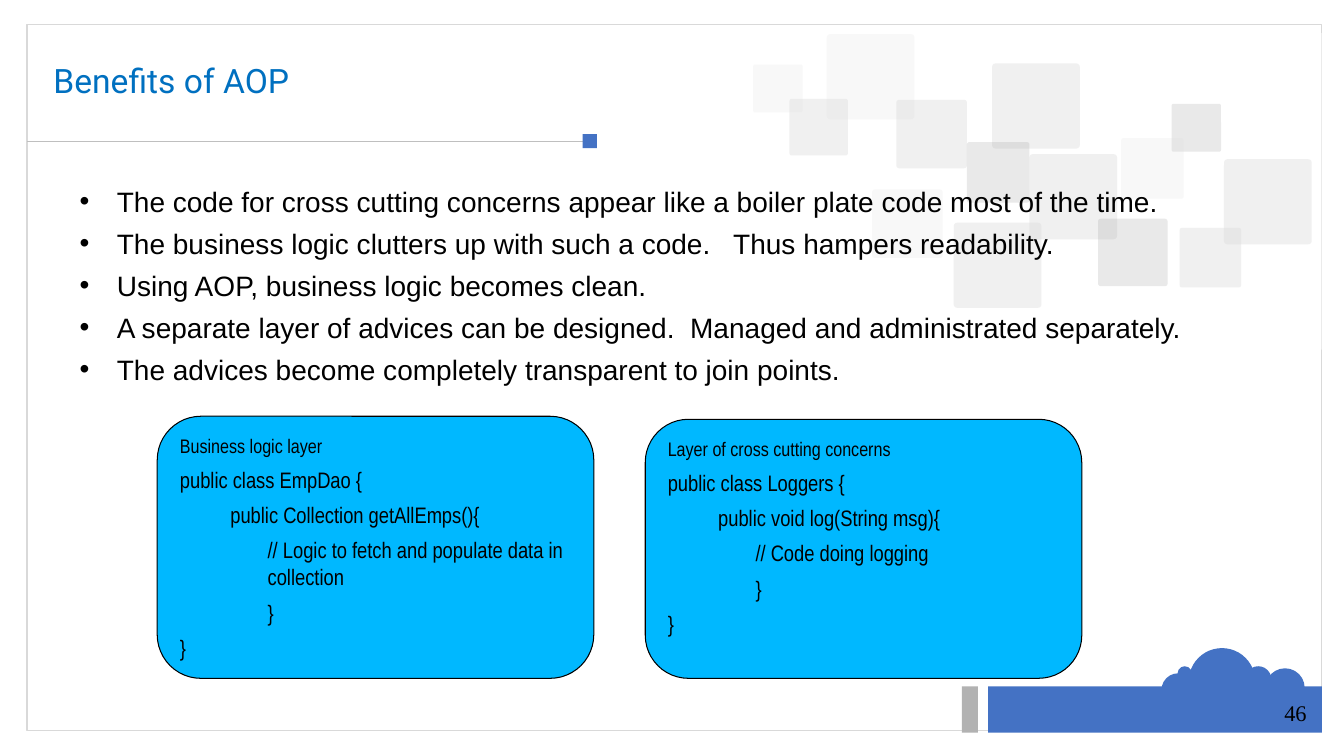
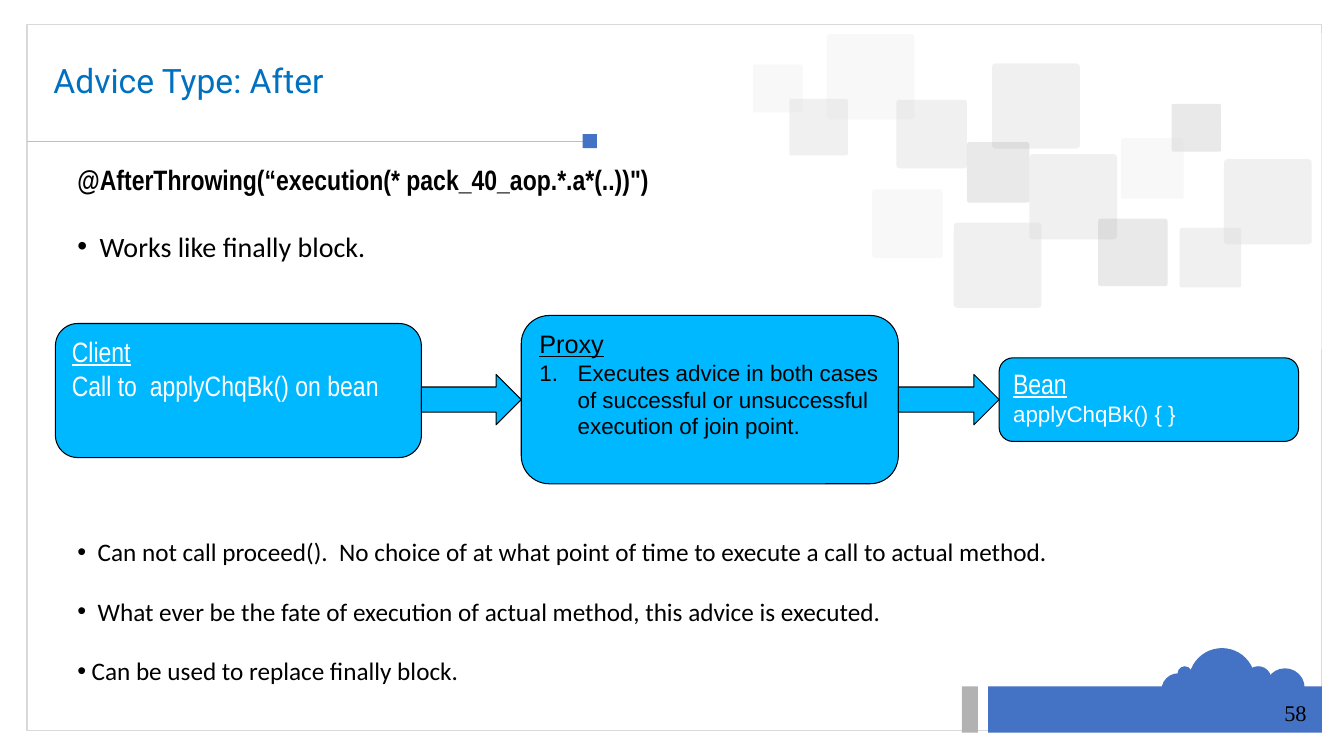
from dataclasses import dataclass

from lxml import etree
from pptx import Presentation
from pptx.dml.color import RGBColor
from pptx.enum.shapes import MSO_CONNECTOR, MSO_SHAPE
from pptx.enum.text import MSO_ANCHOR, MSO_AUTO_SIZE, PP_ALIGN
from pptx.oxml.ns import qn
from pptx.util import Inches, Pt

RECTANGLE, ROUNDED = MSO_SHAPE.RECTANGLE, MSO_SHAPE.ROUNDED_RECTANGLE
OVAL, ARROW = MSO_SHAPE.OVAL, MSO_SHAPE.RIGHT_ARROW
STRAIGHT = MSO_CONNECTOR.STRAIGHT
TOP, MIDDLE = MSO_ANCHOR.TOP, MSO_ANCHOR.MIDDLE
LEFT, JUSTIFY = PP_ALIGN.LEFT, PP_ALIGN.JUSTIFY
NO_FIT = MSO_AUTO_SIZE.NONE
TITLE_ONLY = 5

# The slide is a grid of square cells, 133.3 columns by 75 rows
COLUMNS, ROWS, CELL = 133.3, 75, 0.1

BLACK, WHITE = "000000", "FFFFFF"
BLUE, SKY, TITLE_BLUE = "4472C4", "00B8FF", "0070C0"
GREY, FRAME_GREY, RULE_GREY = "B2B2B2", "D9D9D9", "BFBFBF"

TITLE = {"name": "Roboto", "size": 24, "color": TITLE_BLUE,
         "alignment": LEFT, "line_spacing": 0.9}
NUMBER = {"name": "Times New Roman", "size": 16}
POINT = {"name": "Arial", "size": 20, "alignment": JUSTIFY,
         "space_before": 6, "bullet": "•", "indent": 3.7, "hang": 3.7}
CODE = {"name": "Arial Narrow", "size": 16, "space_before": 6}
NOTE = {"name": "Calibri", "size": 18, "alignment": JUSTIFY, "bullet": "•"}


def cells(count):
    return Inches(count * CELL)


@dataclass
class Box:
    """A region in grid cells."""
    left: float
    top: float
    width: float
    height: float

    def inner(self, left, top, width, height):
        return Box(self.left + left, self.top + top, width, height)

    @property
    def right(self):
        return self.left + self.width

    def place(self):
        return [cells(n) for n in (self.left, self.top, self.width, self.height)]


FRAME = Box(2.7, 2.4, 128.4, 70.1)
TITLE_BOX = Box(4.3, 4, 124.5, 8.4)
MOSAIC = Box(71.2, 3.3, 59.9, 31.4)
FOOTER = Box(95.4, 68.1, 35.7, 4.6)

# Left, top, width, fill, opacity in percent
SQUARES = [
    (10.8, 0.1, 8.7, GREY, 16), (27.2, 3, 8.7, GREY, 36),
    (23.4, 18.8, 8.7, GREY, 36), (30.9, 12, 8.7, GREY, 36),
    (17.7, 6.6, 7, GREY, 36), (15.3, 15.5, 7, GREY, 16),
    (24.7, 10.8, 6.2, BLACK, 16), (45, 7, 4.9, BLACK, 16),
    (40, 10.4, 6.2, GREY, 16), (37.7, 18.4, 6.9, BLACK, 16),
    (7.1, 6.5, 5.8, GREY, 35), (3.5, 3.1, 4.9, GREY, 16),
    (50.2, 12.5, 8.7, GREY, 36), (45.8, 19.3, 6.1, GREY, 36),
]
# Left, top, diameter
PUFFS = [(22.5, -3.8, 6.6), (19.8, -1.3, 3.3), (28.1, -2, 2.6),
         (30.1, -1.8, 3.9), (21.4, -2, 1.4)]


def paint(color_format, color):
    color_format.rgb = RGBColor.from_string(color)


def add_block(shapes, kind, box, fill=None, line=None, weight=0.75, opacity=100):
    block = shapes.add_shape(kind, *box.place())
    block.shadow.inherit = False
    if fill:
        block.fill.solid()
        paint(block.fill.fore_color, fill)
        if opacity < 100:
            color = block.element.spPr.find(".//" + qn("a:srgbClr"))
            etree.SubElement(color, qn("a:alpha"), val=str(opacity * 1000))
    else:
        block.fill.background()
    if line:
        paint(block.line.color, line)
        block.line.width = Pt(weight)
    else:
        block.line.fill.background()
    return block


def set_bullet(para, bullet, indent, hang):
    properties = para._p.get_or_add_pPr()
    properties.set("marL", str(cells(indent)))
    properties.set("indent", str(cells(-hang)))
    if bullet:
        etree.SubElement(properties, qn("a:buFont"), typeface="Arial")
        if bullet == "1.":
            etree.SubElement(properties, qn("a:buAutoNum"), type="arabicPeriod")
        else:
            etree.SubElement(properties, qn("a:buChar"), char=bullet)


def write(frame, lines, base, anchor=TOP, wrap=True):
    """Each line is a text and the format values that differ from the base."""
    frame.word_wrap = wrap
    frame.auto_size = NO_FIT
    frame.vertical_anchor = anchor
    for index, (text, changes) in enumerate(lines):
        para = frame.paragraphs[0] if index == 0 else frame.add_paragraph()
        span = para.add_run()
        span.text = text
        values = {"alignment": LEFT, "color": BLACK, "bullet": None,
                  "indent": 0, "hang": 0, **base, **changes}
        paint(span.font.color, values.pop("color"))
        set_bullet(para, *(values.pop(key) for key in ("bullet", "indent", "hang")))
        for key, value in values.items():
            target = para if hasattr(para, key) else span.font
            setattr(target, key, Pt(value) if key in ("size", "space_before") else value)


def add_text(page, box, lines, base, wrap=True):
    write(page.shapes.add_textbox(*box.place()).text_frame, lines, base, wrap=wrap)


# Shared parts
def draw_frame(shapes, box):
    add_block(shapes, RECTANGLE, box, line=FRAME_GREY, weight=1)
    rule_row = cells(box.top + 11.6)
    rule = shapes.add_connector(STRAIGHT, cells(box.left), rule_row,
                                cells(box.left + 55.1), rule_row)
    paint(rule.line.color, RULE_GREY)
    rule.line.width = Pt(0.5)
    etree.SubElement(rule.element.spPr, qn("a:effectLst"))
    add_block(shapes, RECTANGLE, box.inner(55.1, 10.9, 1.4, 1.4), BLUE)


def draw_mosaic(shapes, box):
    group = shapes.add_group_shape()
    for left, top, width, fill, opacity in SQUARES:
        square = add_block(group.shapes, ROUNDED,
                           box.inner(left, top, width, width * 0.97),
                           fill, opacity=opacity)
        square.adjustments[0] = 0.04
    add_block(shapes, RECTANGLE, box, WHITE, opacity=48)


def draw_footer(shapes, box):
    add_block(shapes, RECTANGLE, box.inner(2.6, 0, box.width - 2.6, box.height), BLUE)
    add_block(shapes, RECTANGLE, box.inner(0, 0, 1.6, box.height), GREY)
    cloud = shapes.add_group_shape()
    for left, top, size in PUFFS:
        add_block(cloud.shapes, OVAL, box.inner(left, top, size, size), BLUE)


def furnish_layout(layout, page):
    """Draw the shared parts on a page, then move them to its layout."""
    for holder in list(layout.placeholders)[1:]:
        layout.shapes.element.remove(holder.element)
    draw_frame(page.shapes, FRAME)
    draw_footer(page.shapes, FOOTER)
    draw_mosaic(page.shapes, MOSAIC)
    for shape in list(page.shapes):
        if not shape.is_placeholder:
            layout.shapes.element.append(shape.element)


def add_heading(page, title, number):
    holder = page.shapes.title
    holder.left, holder.top, holder.width, holder.height = TITLE_BOX.place()
    write(holder.text_frame, [(title, {})], TITLE, MIDDLE)
    add_text(page, FOOTER.inner(31, 0.8, 5.4, 3.7), [(number, {})], NUMBER, wrap=False)


# Slide content
def add_card(shapes, box, lines, base):
    card = add_block(shapes, ROUNDED, box, SKY, BLACK)
    write(card.text_frame, lines, base)


def add_code_card(page, box, caption, opening, method, body):
    deep = {"indent": 8.7}
    lines = [(caption, {"size": 14}), (opening, {}), (method, {"indent": 5}),
             (body, deep), ("}", deep), ("}", {})]
    add_card(page.shapes, box, lines, CODE)


def add_flow(page, box, stages):
    """Cards from left to right, with an arrow filling each gap."""
    group = page.shapes.add_group_shape()
    cards = [box.inner(*place) for place, _, _ in stages]
    for card, (_, lines, base) in zip(cards, stages):
        add_card(group.shapes, card, lines, base)
    for before, after in zip(cards, cards[1:]):
        gap = Box(before.right, box.top + box.height / 2 - 2.5,
                  after.left - before.right, 5)
        add_block(group.shapes, ARROW, gap, SKY, BLACK)


def build_benefits(page):
    add_heading(page, "Benefits of AOP", "46")
    points = [
        "The code for cross cutting concerns appear like a boiler plate code most of the time.",
        "The business logic clutters up with such a code.   Thus hampers readability.",
        "Using AOP, business logic becomes clean.",
        "A separate layer of advices can be designed.  Managed and administrated separately.",
        "The advices become completely transparent to join points.",
    ]
    add_text(page, Box(6.9, 17.8, 121.9, 21.3), [(text, {}) for text in points], POINT)
    add_code_card(page, Box(15.6, 41.3, 43.3, 26), "Business logic layer",
                  "public class EmpDao {", "public Collection getAllEmps(){",
                  "// Logic to fetch and populate data in collection")
    add_code_card(page, Box(64, 41.6, 43.3, 25.7), "Layer of cross cutting concerns",
                  "public class Loggers {", "public void log(String msg){",
                  "// Code doing logging")


def build_after_advice(page):
    add_heading(page, "Advice Type: After", "58")
    add_text(page, Box(6.7, 15.6, 117.8, 11.1), [
        ("@AfterThrowing(“execution(* pack_40_aop.*.a*(..))\")",
         {"name": "Arial Narrow", "bold": True}),
        ("Works like finally block.",
         {"space_before": 24, "bullet": "•", "indent": 2.2, "hang": 2.2}),
    ], {"name": "Calibri", "size": 20})

    narrow = {"name": "Arial Narrow", "size": 20, "color": WHITE}
    heading = {"underline": True}
    add_flow(page, Box(5.5, 31.3, 123.3, 16.7), [
        ((0, 0.8, 36.3, 13.3),
         [("Client", heading), ("Call to  applyChqBk() on bean", {})], narrow),
        ((46.2, 0, 37.4, 16.7),
         [("Proxy", {"size": 18, **heading}),
          ("Executes advice in both cases of successful or unsuccessful "
           "execution of join point.",
           {"bullet": "1.", "indent": 3.8, "hang": 3.8})],
         {"name": "Arial", "size": 16}),
        ((93.6, 4.2, 29.7, 8.3),
         [("Bean", heading), ("applyChqBk() { }", {"name": "Arial", "size": 16})],
         narrow),
    ])

    wide, tight = ({"indent": gap, "hang": gap} for gap in (2, 1.4))
    spaced = {"space_before": 21}
    add_text(page, Box(6.7, 52.7, 117.8, 16.2), [
        ("Can not call proceed().  No choice of at what point of time to execute "
         "a call to actual method.", wide),
        ("What ever be the fate of execution of actual method, this advice is executed.",
         {**wide, **spaced}),
        ("Can be used to replace finally block.", {**tight, **spaced}),
    ], NOTE)


def main():
    deck = Presentation()
    deck.slide_width, deck.slide_height = cells(COLUMNS), cells(ROWS)
    layout = deck.slide_layouts[TITLE_ONLY]
    pages = [deck.slides.add_slide(layout) for _ in range(2)]
    furnish_layout(layout, pages[0])
    for build, page in zip((build_benefits, build_after_advice), pages):
        build(page)
    deck.save("out.pptx")


if __name__ == "__main__":
    main()
